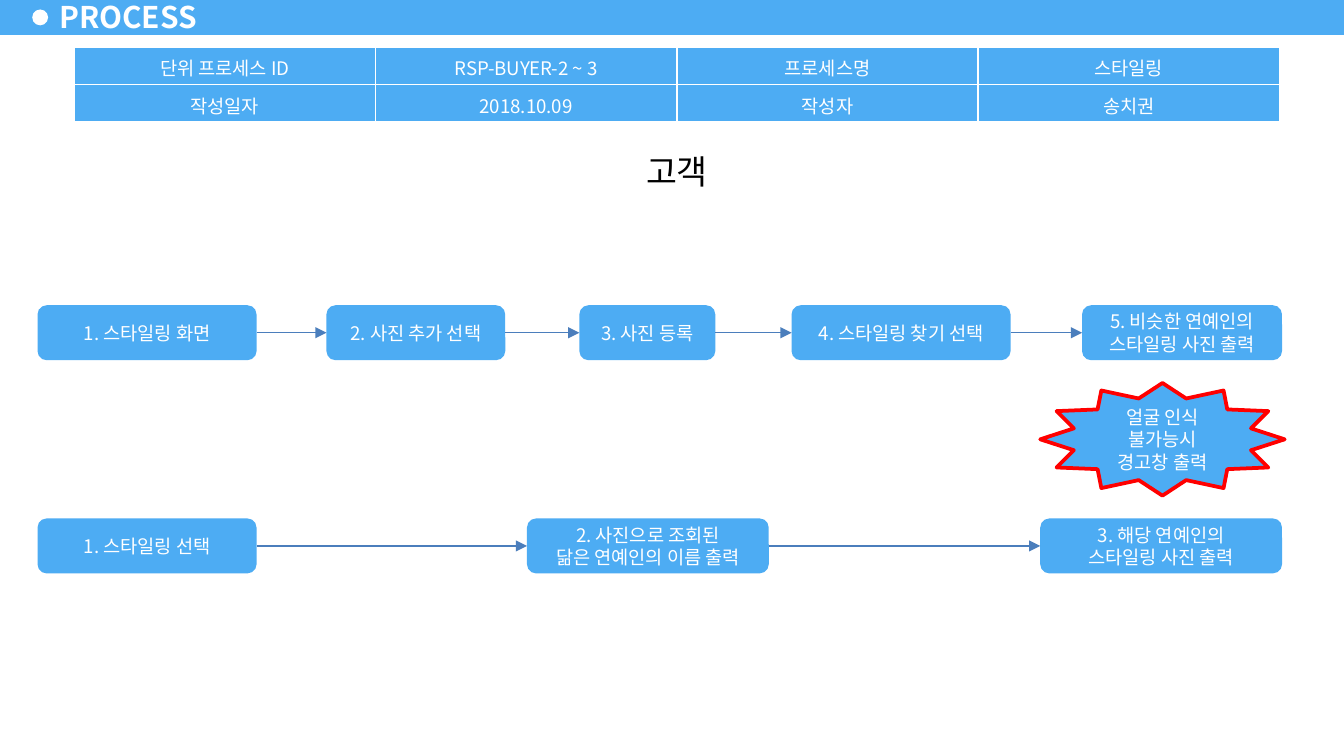
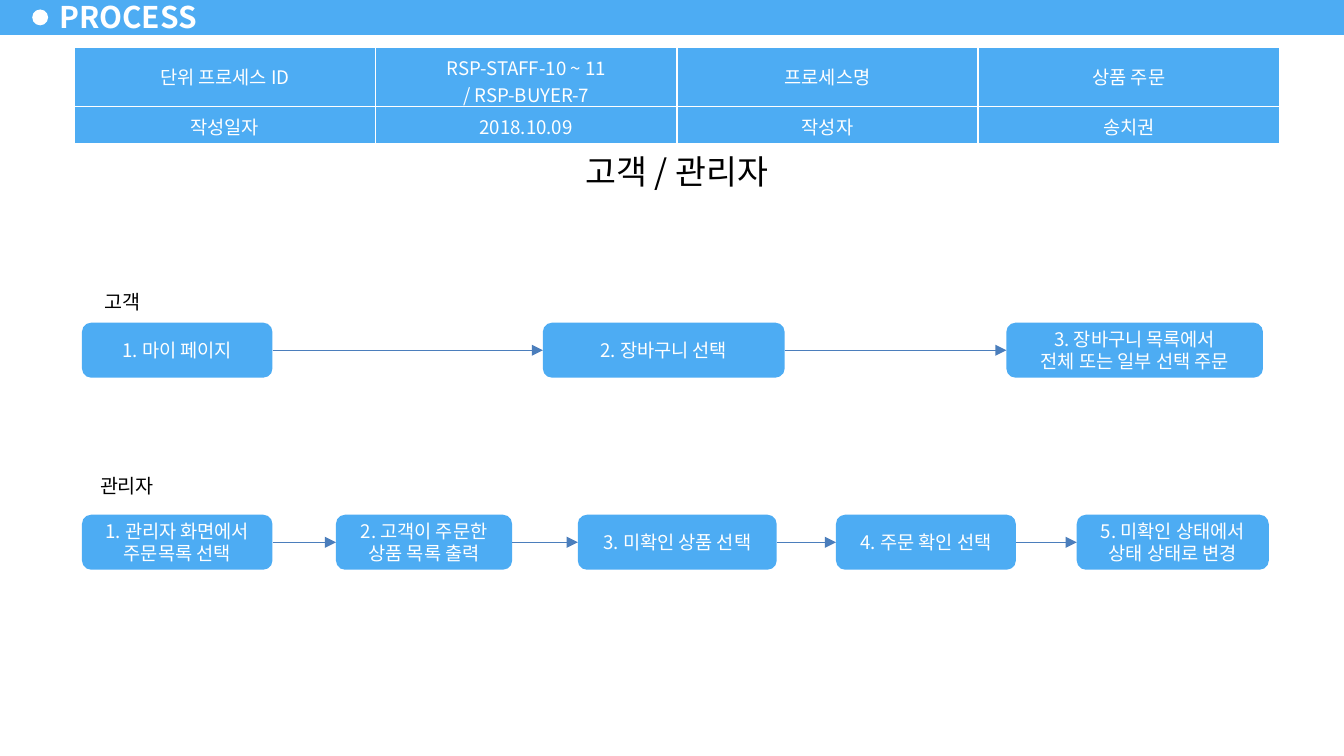
from lxml import etree
from pptx import Presentation
from pptx.dml.color import RGBColor
from pptx.enum.shapes import MSO_CONNECTOR, MSO_SHAPE
from pptx.enum.text import MSO_ANCHOR, PP_ALIGN
from pptx.oxml.ns import qn
from pptx.util import Cm, Pt

RECT, ROUND = MSO_SHAPE.RECTANGLE, MSO_SHAPE.ROUNDED_RECTANGLE
OVAL, STAR = MSO_SHAPE.OVAL, MSO_SHAPE.STAR_12_POINT
LINE = MSO_CONNECTOR.STRAIGHT
LEFT, CENTER = PP_ALIGN.LEFT, PP_ALIGN.CENTER
TOP, MIDDLE = MSO_ANCHOR.TOP, MSO_ANCHOR.MIDDLE

FONT = "Noto Sans CJK KR"
BLUE, WIRE, RED = "4DACF3", "4B7EBC", "FF0000"
WHITE, BLACK = "FFFFFF", "000000"
WIDE, HIGH = 25.4, 14.29
BOX_H, ROW_H = 1.04, 0.71
LEFT_SITE, RIGHT_SITE = 1, 3


def color(code):
    return RGBColor.from_string(code)


class Deck:
    """Holds the shared style and the slide being built."""

    def __init__(self):
        self.show = Presentation()
        self.show.slide_width = Cm(WIDE)
        self.show.slide_height = Cm(HIGH)
        self.slide = None

    def page(self, head, rows, heights):
        self.slide = self.show.slides.add_slide(self.show.slide_layouts[6])
        self.shape(RECT, 0, -0.05, WIDE, 0.71, BLUE)
        self.shape(OVAL, 0.61, 0.18, 0.3, 0.3, WHITE)
        self.title("PROCESS")
        self.label(head, 8.26, 2.72, 9.07, BOX_H, 18)
        self.table(rows, heights)

    def text(self, frame, words, size, code, align=CENTER, bold=False, tight=True):
        for i, line in enumerate(words.split("\n")):
            para = frame.paragraphs[0] if i == 0 else frame.add_paragraph()
            para.alignment = align
            if tight:
                para.line_spacing = Pt(size * 1.2)
            run = para.add_run()
            run.text = line
            font = run.font
            font.size, font.bold = Pt(size), bold
            font.color.rgb = color(code)
            font.name = FONT
            east = etree.SubElement(run._r.get_or_add_rPr(), qn("a:ea"))
            east.set("typeface", FONT)

    def shape(self, kind, x, y, w, h, fill):
        item = self.slide.shapes.add_shape(kind, Cm(x), Cm(y), Cm(w), Cm(h))
        item.shadow.inherit = False
        item.fill.solid()
        item.fill.fore_color.rgb = color(fill)
        item.line.fill.background()
        frame = item.text_frame
        frame.word_wrap = True
        frame.vertical_anchor = MIDDLE
        return item

    def title(self, words):
        item = self.slide.shapes.add_textbox(Cm(0.89), Cm(-0.1), Cm(3.1), Cm(0.81))
        frame = item.text_frame
        frame.word_wrap = True
        frame.vertical_anchor = MIDDLE
        frame.margin_left = frame.margin_right = Cm(0.23)
        frame.margin_top = frame.margin_bottom = Cm(0.1)
        self.text(frame, words, 16, WHITE, LEFT, bold=True, tight=False)

    def label(self, words, x, y, w, h, size):
        frame = self.shape(RECT, x, y, w, h, WHITE).text_frame
        frame.vertical_anchor = TOP
        self.text(frame, words, size, BLACK)

    def table(self, rows, heights):
        grid = self.slide.shapes.add_table(
            len(rows), len(rows[0]), Cm(1.4), Cm(0.89), Cm(22.78), Cm(sum(heights))
        ).table
        grid.first_row = grid.horz_banding = False
        for r, row in enumerate(rows):
            grid.rows[r].height = Cm(heights[r])
            for c, words in enumerate(row):
                self.cell(grid.cell(r, c), words)

    def cell(self, cell, words):
        cell.vertical_anchor = MIDDLE
        cell.margin_left = cell.margin_right = Cm(0.25)
        cell.margin_top = cell.margin_bottom = Cm(0.13)
        self.text(cell.text_frame, words, 10, WHITE, tight=False)
        props = cell._tc.get_or_add_tcPr()
        for side in ("a:lnL", "a:lnR", "a:lnT", "a:lnB"):
            edge = etree.SubElement(props, qn(side), w=str(Pt(1)))
            fill = etree.SubElement(edge, qn("a:solidFill"))
            etree.SubElement(fill, qn("a:srgbClr"), val=WHITE)
        cell.fill.solid()
        cell.fill.fore_color.rgb = color(BLUE)

    def flow(self, y, steps):
        last = None
        for i, (x, w, words) in enumerate(steps, 1):
            box = self.shape(ROUND, x, y, w, BOX_H, BLUE)
            self.text(box.text_frame, f"{i}. {words}", 10, WHITE)
            if last is not None:
                self.arrow(last, box)
            last = box

    def arrow(self, start, end):
        wire = self.slide.shapes.add_connector(LINE, 0, 0, 0, 0)
        wire.begin_connect(start, RIGHT_SITE)
        wire.end_connect(end, LEFT_SITE)
        wire.line.width = Pt(0.75)
        wire.line.color.rgb = color(WIRE)
        props = wire._element.spPr
        etree.SubElement(props.find(qn("a:ln")), qn("a:tailEnd"), type="triangle")
        etree.SubElement(props, qn("a:effectLst"))

    def burst(self, words, x, y, w, h):
        star = self.shape(STAR, x, y, w, h, BLUE)
        star.line.color.rgb = color(RED)
        star.line.width = Pt(2)
        frame = star.text_frame
        frame.margin_left = frame.margin_right = 0
        frame.margin_top = frame.margin_bottom = 0
        self.text(frame, words, 10, WHITE)


def facts(code, name):
    return [
        ["단위 프로세스 ID", code, "프로세스명", name],
        ["작성일자", "2018.10.09", "작성자", "송치권"],
    ]


def main():
    deck = Deck()

    deck.page("고객", facts("RSP-BUYER-2 ~ 3", "스타일링"), [ROW_H, ROW_H])
    deck.flow(5.77, [
        (0.71, 4.14, "스타일링 화면"),
        (6.17, 3.38, "사진 추가 선택"),
        (10.95, 2.57, "사진 등록"),
        (14.96, 4.14, "스타일링 찾기 선택"),
        (20.45, 3.78, "비슷한 연예인의\n스타일링 사진 출력"),
    ])
    deck.flow(9.8, [
        (0.71, 4.14, "스타일링 선택"),
        (9.96, 4.57, "사진으로 조회된\n닮은 연예인의 이름 출력"),
        (19.66, 4.57, "해당 연예인의\n스타일링 사진 출력"),
    ])
    deck.burst("얼굴 인식\n불가능시\n경고창 출력", 19.66, 7.24, 4.62, 2.13)

    order = facts("RSP-STAFF-10 ~ 11\n/ RSP-BUYER-7", "상품 주문")
    deck.page("고객 / 관리자", order, [1.12, ROW_H])
    deck.label("고객", 1.55, 5.36, 1.52, 0.71, 10.5)
    deck.flow(6.1, [
        (1.55, 3.6, "마이 페이지"),
        (10.26, 4.57, "장바구니 선택"),
        (19.02, 4.85, "장바구니 목록에서\n전체 또는 일부 선택 주문"),
    ])
    deck.label("관리자", 1.55, 8.84, 1.7, 0.71, 10.5)
    deck.flow(9.73, [
        (1.55, 3.6, "관리자 화면에서\n주문목록 선택"),
        (6.35, 3.33, "고객이 주문한\n상품 목록 출력"),
        (10.92, 3.76, "미확인 상품 선택"),
        (15.8, 3.4, "주문 확인 선택"),
        (20.35, 3.63, "미확인 상태에서\n상태 상태로 변경"),
    ])

    deck.show.save("out.pptx")


if __name__ == "__main__":
    main()
